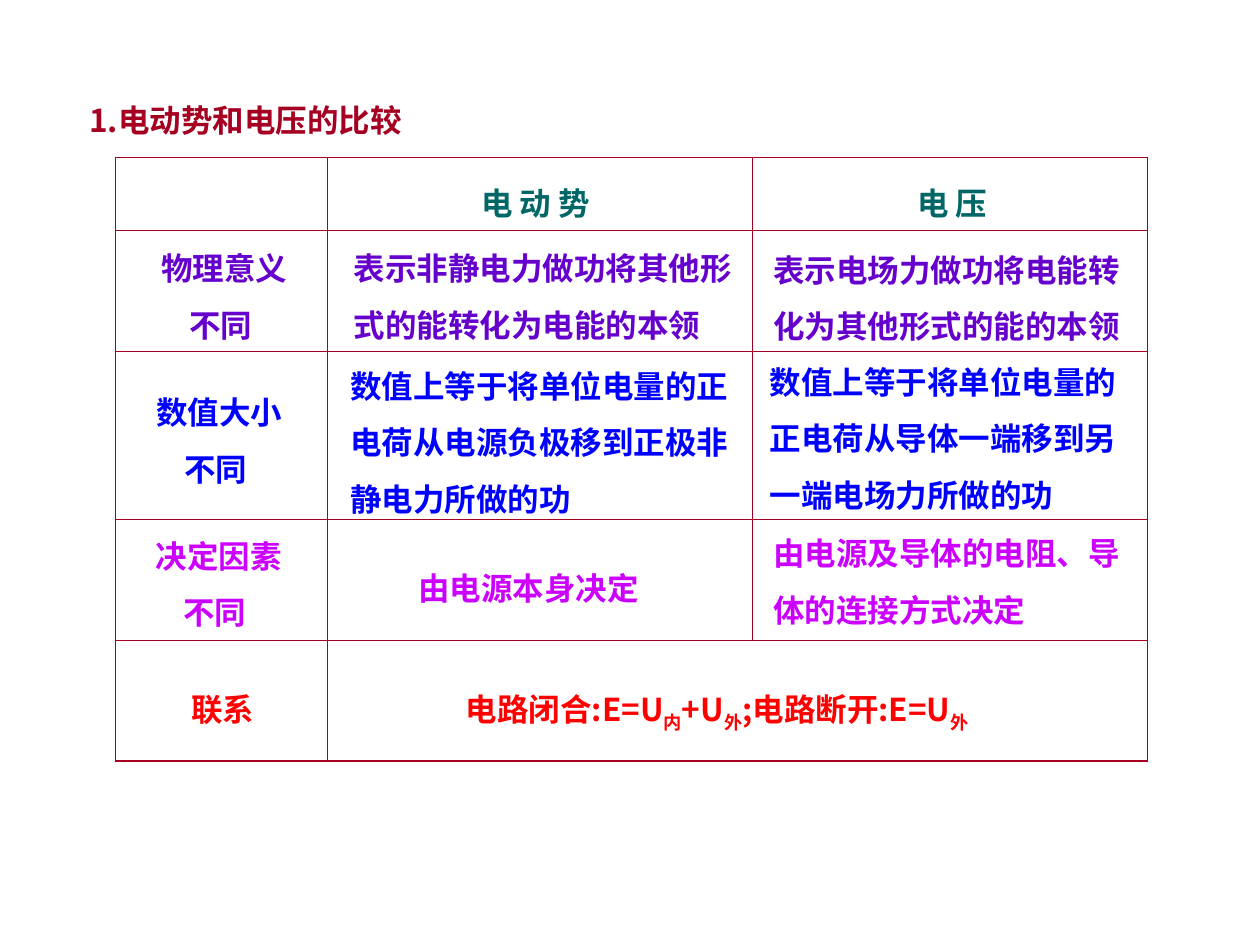
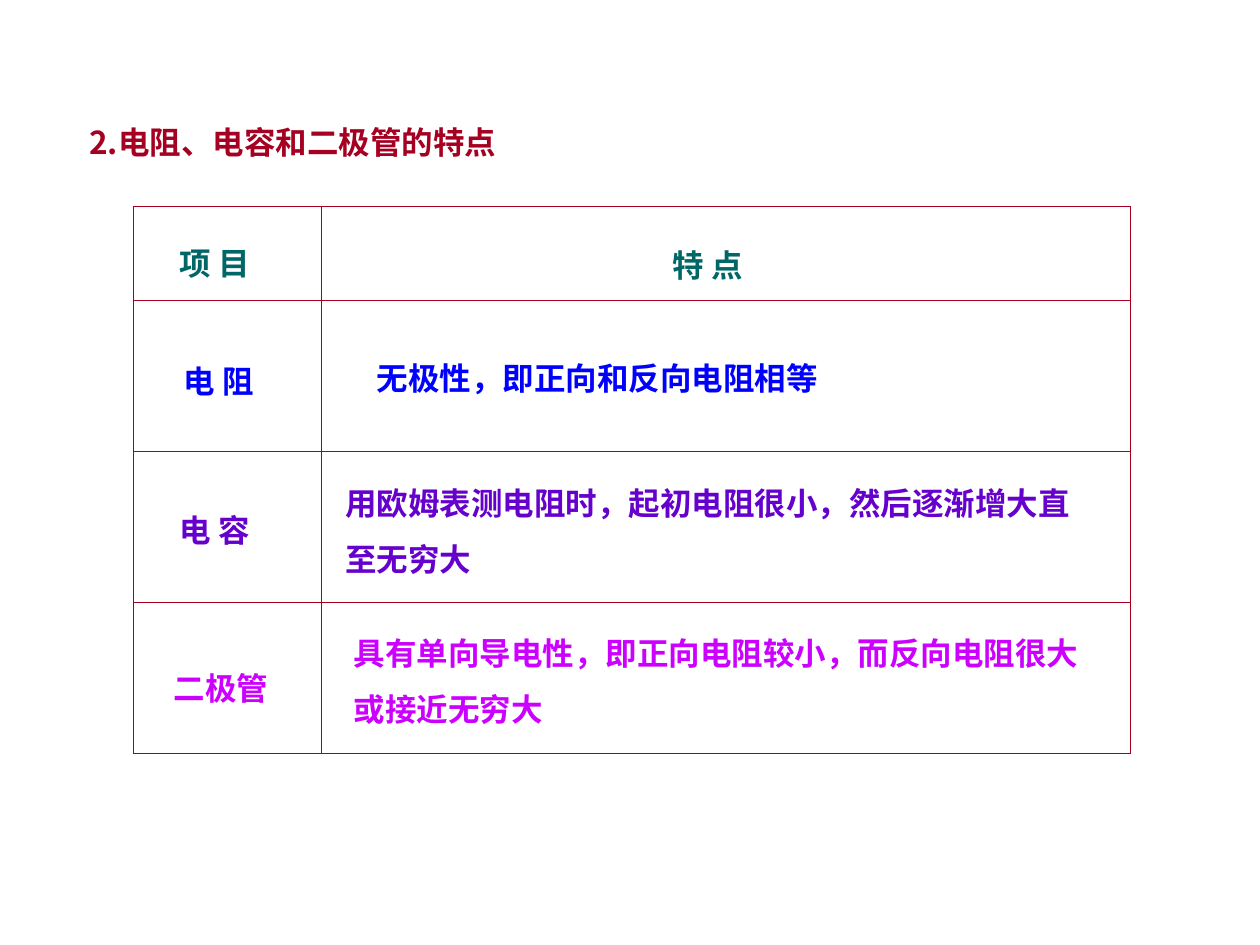
from dataclasses import dataclass

from lxml.etree import SubElement
from pptx import Presentation
from pptx.dml.color import RGBColor
from pptx.enum.text import MSO_ANCHOR, MSO_AUTO_SIZE, PP_ALIGN
from pptx.oxml import parse_xml
from pptx.oxml.ns import nsdecls, qn
from pptx.util import Inches, Pt


@dataclass(frozen=True)
class Theme:
    font: str = "Noto Sans CJK SC"
    latin_font: str = "Times New Roman"
    size: float = 18
    line_spacing: float = 1.5
    subscript: int = -25000
    outer_line: float = 0.75
    inner_line: float = 0.45
    dark_red: str = "A50021"
    teal: str = "006666"
    purple: str = "6600CC"
    blue: str = "0000FF"
    magenta: str = "CC00FF"
    red: str = "FF0000"


THEME = Theme()
TITLE_ONLY = 5
LINE_HEIGHTS = {1: 0.55, 2: 1.0, 3: 1.45}


def set_attributes(target, values):
    for name, value in values.items():
        setattr(target, name, value)


# Text: lines are split at newlines, and every second piece between bars is a subscript
def write_text(shape, text, color, align=PP_ALIGN.LEFT, font_name=THEME.font):
    frame = shape.text_frame
    set_attributes(frame, {
        "word_wrap": True,
        "auto_size": MSO_AUTO_SIZE.SHAPE_TO_FIT_TEXT,
        "vertical_anchor": MSO_ANCHOR.TOP,
        "margin_left": Inches(0.1), "margin_right": Inches(0.1),
        "margin_top": Inches(0.05), "margin_bottom": Inches(0.05),
    })
    for index, line in enumerate(text.split("\n")):
        paragraph = frame.add_paragraph() if index else frame.paragraphs[0]
        set_attributes(paragraph, {"alignment": align, "line_spacing": THEME.line_spacing})
        for position, piece in enumerate(line.split("|")):
            if piece:
                add_run(paragraph, piece, color, font_name, position % 2 == 1)


def add_run(paragraph, text, color, font_name, is_subscript):
    run = paragraph.add_run()
    run.text = text
    set_attributes(run.font, {"size": Pt(THEME.size), "bold": True, "name": font_name})
    run.font.color.rgb = RGBColor.from_string(color)
    properties = run.font._element
    SubElement(properties, qn("a:ea"), typeface=THEME.font)
    if is_subscript:
        properties.set("baseline", str(THEME.subscript))


def add_title_slide(presentation, text, top):
    slide = presentation.slides.add_slide(presentation.slide_layouts[TITLE_ONLY])
    title = slide.shapes.title
    set_attributes(title, {"left": Inches(0.61), "top": Inches(top),
                           "width": Inches(3.97), "height": Inches(LINE_HEIGHTS[1])})
    write_text(title, text, THEME.dark_red)
    return slide


def add_label(slide, left, top, width, text, color, **text_format):
    height = LINE_HEIGHTS[text.count("\n") + 1]
    box = slide.shapes.add_textbox(Inches(left), Inches(top), Inches(width), Inches(height))
    write_text(box, text, color, **text_format)


# Grid: the outside lines are heavier than the inside lines
def set_borders(cell, outer_sides):
    cell.fill.background()
    properties = cell._tc.get_or_add_tcPr()
    for index, side in enumerate("LRTB"):
        width = THEME.outer_line if side in outer_sides else THEME.inner_line
        properties.insert(index, parse_xml(
            f'<a:ln{side} {nsdecls("a")} w="{Pt(width)}"><a:solidFill>'
            f'<a:srgbClr val="{THEME.dark_red}"/></a:solidFill></a:ln{side}>'))


def add_grid(slide, left, top, column_widths, row_heights):
    row_count, column_count = len(row_heights), len(column_widths)
    table = slide.shapes.add_table(
        row_count, column_count, Inches(left), Inches(top),
        Inches(sum(column_widths)), Inches(sum(row_heights))).table
    set_attributes(table, {"first_row": False, "horz_banding": False})
    for column, width in zip(table.columns, column_widths):
        column.width = Inches(width)
    for row_index, (row, height) in enumerate(zip(table.rows, row_heights)):
        row.height = Inches(height)
        for column_index, cell in enumerate(row.cells):
            edges = {"L": column_index == 0, "R": column_index == column_count - 1,
                     "T": row_index == 0, "B": row_index == row_count - 1}
            set_borders(cell, [side for side, is_outer in edges.items() if is_outer])
    return table


def build_voltage_comparison(presentation):
    slide = add_title_slide(presentation, "1.电动势和电压的比较", 0.6)
    table = add_grid(slide, 0.92, 1.25, [1.68, 3.37, 3.14], [0.58, 0.96, 1.33, 0.96, 0.96])
    table.cell(4, 1).merge(table.cell(4, 2))

    # Column headings
    add_label(slide, 3.72, 1.26, 1.72, "电 动 势", THEME.teal)
    add_label(slide, 7.18, 1.26, 1.42, "电 压", THEME.teal)

    # Row headings
    for left, top, width, text, color in [
        (1.07, 1.78, 1.42, "物理意义\n不同 ", THEME.purple),
        (0.99, 2.92, 1.5, "数值大小\n不同 ", THEME.blue),
        (0.82, 4.06, 1.83, "决定因素\n不同 ", THEME.magenta),
    ]:
        add_label(slide, left, top, width, text, color, align=PP_ALIGN.CENTER)
    add_label(slide, 1.42, 5.28, 1.38, "联系", THEME.red, font_name=THEME.latin_font)

    # Comparison entries
    for left, top, width, text, color in [
        (2.71, 1.78, 3.69, "表示非静电力做功将其他形\n式的能转化为电能的本领", THEME.purple),
        (6.04, 1.79, 3.58, "表示电场力做功将电能转\n化为其他形式的能的本领", THEME.purple),
        (2.68, 2.71, 3.92,
         "数值上等于将单位电量的正\n电荷从电源负极移到正极非\n静电力所做的功", THEME.blue),
        (6.01, 2.68, 3.44,
         "数值上等于将单位电量的\n正电荷从导体一端移到另\n一端电场力所做的功", THEME.blue),
        (3.22, 4.32, 2.28, "由电源本身决定", THEME.magenta),
        (6.04, 4.04, 3.6, "由电源及导体的电阻、导\n体的连接方式决定", THEME.magenta),
        (3.6, 5.26, 4.97, "电路闭合:E=U|内|+U|外|;电路断开:E=U|外|", THEME.red),
    ]:
        add_label(slide, left, top, width, text, color)


def build_component_features(presentation):
    slide = add_title_slide(presentation, "2.电阻、电容和二极管的特点", 0.78)
    add_grid(slide, 1.06, 1.64, [1.49, 6.42], [0.74] + [1.2] * 3)

    for left, top, width, text, color in [
        # Headings
        (1.33, 1.74, 1.04, "项 目", THEME.teal),
        (5.24, 1.75, 1.36, "特 点", THEME.teal),
        # Components
        (1.36, 2.67, 1.04, "电 阻", THEME.blue),
        (1.33, 3.86, 1.04, "电 容", THEME.purple),
        (1.28, 5.11, 1.24, "二极管", THEME.magenta),
        # Features
        (2.89, 2.65, 5.03, "无极性，即正向和反向电阻相等", THEME.blue),
        (2.64, 3.64, 6.86,
         "用欧姆表测电阻时，起初电阻很小，然后逐渐增大直\n至无穷大", THEME.purple),
        (2.71, 4.83, 6.79,
         "具有单向导电性，即正向电阻较小，而反向电阻很大\n或接近无穷大", THEME.magenta),
    ]:
        add_label(slide, left, top, width, text, color)


def main():
    presentation = Presentation()
    set_attributes(presentation, {"slide_width": Inches(10), "slide_height": Inches(7.5)})
    build_voltage_comparison(presentation)
    build_component_features(presentation)
    presentation.save("out.pptx")


if __name__ == "__main__":
    main()
